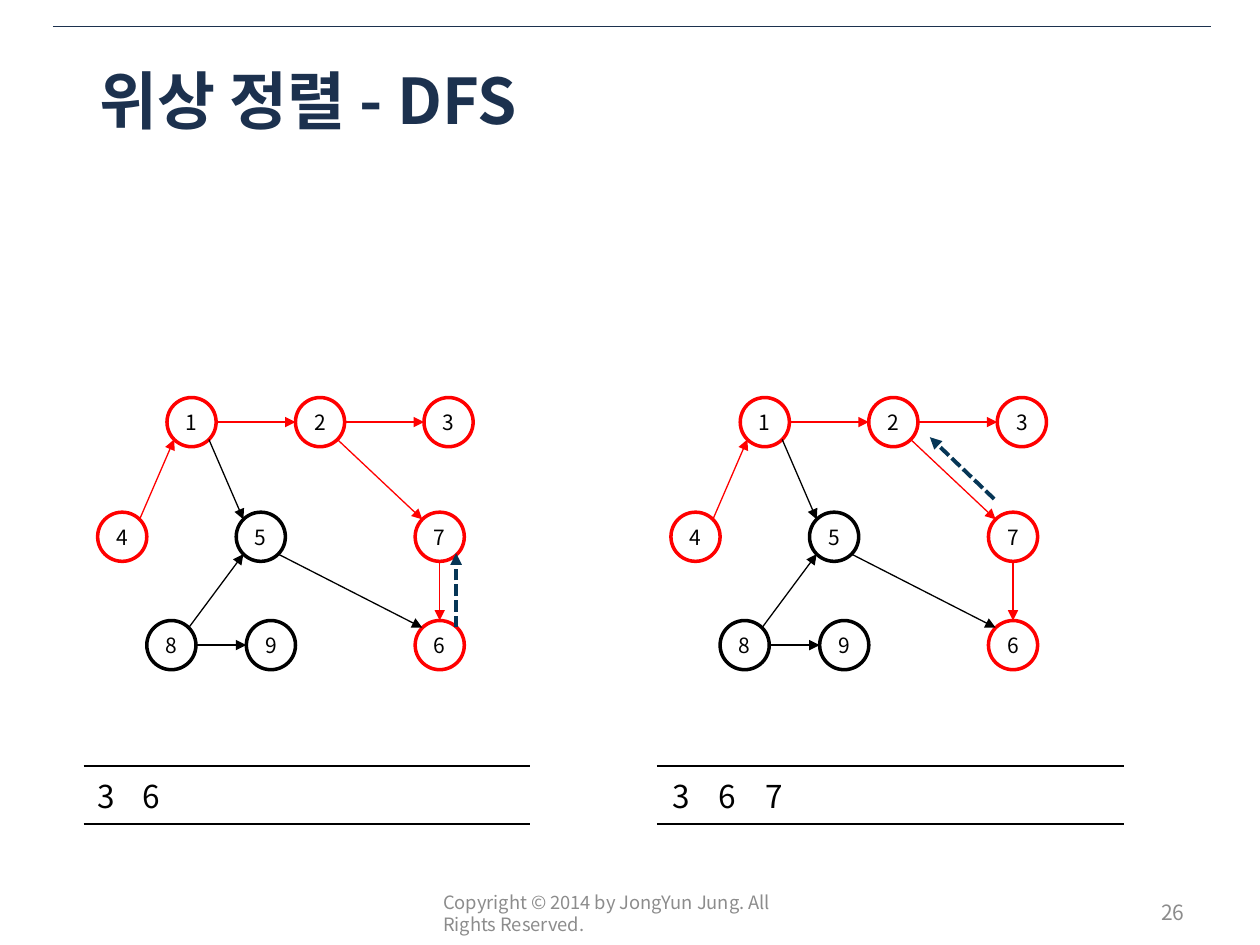
from math import sqrt
from lxml.etree import SubElement
from pptx import Presentation
from pptx.dml.color import RGBColor
from pptx.enum.dml import MSO_LINE
from pptx.enum.shapes import MSO_CONNECTOR, MSO_SHAPE
from pptx.enum.text import MSO_ANCHOR, PP_ALIGN
from pptx.oxml.ns import qn
from pptx.util import Inches, Pt

FONT = "Noto Sans CJK KR"
NAVY, RED, BLACK, WHITE, GREY, TEAL = "1C314E", "FF0000", "000000", "FFFFFF", "8C8C8C", "063656"
rgb = RGBColor.from_string


def write(p, text, size, color, align=PP_ALIGN.LEFT, bold=False):
    p.alignment = align
    r = p.add_run()
    r.text = text
    r.font.size, r.font.bold = Pt(size), bold
    r.font.color.rgb = rgb(color)
    r.font.name = FONT
    SubElement(r.font._element, qn("a:ea"), typeface=FONT)


def add_line(shapes, start, end, color, width, arrow=True):
    ln = shapes.add_connector(MSO_CONNECTOR.STRAIGHT, *map(Inches, (*start, *end)))
    ln.line.color.rgb = rgb(color)
    ln.line.width = Pt(width)
    if arrow:
        SubElement(ln.line._get_or_add_ln(), qn("a:tailEnd"), type="triangle")
    SubElement(ln._element.spPr, qn("a:effectLst"))
    return ln


prs = Presentation()
prs.slide_width, prs.slide_height = Inches(10), Inches(7.5)
s = prs.slides.add_slide(prs.slide_layouts[5])

# Top rule and title
add_line(s.shapes, (0.42, 0.21), (9.61, 0.21), NAVY, 0.25, arrow=False)
title = s.shapes.title
title.left, title.top, title.width, title.height = map(Inches, (0.69, 0.4, 8.62, 0.78))
title.text_frame.vertical_anchor = MSO_ANCHOR.MIDDLE
write(title.text_frame.paragraphs[0], "위상 정렬 - DFS", 36, NAVY, bold=True)

# Footer and page number
for box, text, size, align in [
    ((3.42, 7.05, 3.17, 0.4), "Copyright © 2014 by JongYun Jung. All Rights Reserved.", 10.5, PP_ALIGN.LEFT),
    ((7.17, 7.04, 2.33, 0.4), "26", 12, PP_ALIGN.RIGHT),
]:
    tf = s.shapes.add_textbox(*map(Inches, box)).text_frame
    tf.word_wrap = True
    tf.vertical_anchor = MSO_ANCHOR.MIDDLE
    write(tf.paragraphs[0], text, size, GREY, align)

# Graph: node centres relative to the panel's left edge, edges with their exit and entry sides
SIZE = 0.39
ROW_1, ROW_2, ROW_3 = 3.35, 4.26, 5.12
NODES = {
    1: (0.85, ROW_1), 2: (1.87, ROW_1), 3: (2.89, ROW_1),
    4: (0.3, ROW_2), 5: (1.4, ROW_2), 7: (2.82, ROW_2),
    8: (0.69, ROW_3), 9: (1.48, ROW_3), 6: (2.82, ROW_3),
}
VISITED = {1, 2, 3, 4, 6, 7}
D = 1 / sqrt(2)
SIDES = {"N": (0, -1), "S": (0, 1), "W": (-1, 0), "E": (1, 0),
         "NW": (-D, -D), "NE": (D, -D), "SW": (-D, D), "SE": (D, D)}
EDGES = [(1, "E", 2, "W"), (2, "E", 3, "W"), (4, "NE", 1, "SW"), (1, "SE", 5, "NW"),
         (2, "SE", 7, "NW"), (8, "NE", 5, "SW"), (8, "E", 9, "W"), (5, "SE", 6, "NW"),
         (7, "S", 6, "N")]

# Each panel: left edge, output table's column width, finished nodes, backtracking arrow
PANELS = [
    (0.67, 0.353, "36", (3.62, 4.98), (3.62, 4.39)),
    (5.22, 0.37, "367", (7.89, 3.96), (7.38, 3.47)),
]
COLS, ROW_H = 10, 0.46

for left, col_w, output, back_start, back_end in PANELS:
    # Output table
    table = s.shapes.add_table(2, COLS, Inches(left), Inches(5.62),
                               Inches(COLS * col_w), Inches(2 * ROW_H)).table
    table.first_row = table.horz_banding = False
    for row in range(2):
        for col in range(COLS):
            cell = table.cell(row, col)
            cell.fill.background()
            tcPr = cell._tc.get_or_add_tcPr()
            borders = [("lnL", WHITE), ("lnR", WHITE), ("lnT", BLACK if row else WHITE), ("lnB", BLACK)]
            for i, (tag, color) in enumerate(borders):
                ln = SubElement(tcPr, qn(f"a:{tag}"), w=str(Pt(1)))
                SubElement(SubElement(ln, qn("a:solidFill")), qn("a:srgbClr"), val=color)
                tcPr.insert(i, ln)
    for col, number in enumerate(output):
        write(table.cell(1, col).text_frame.paragraphs[0], number, 18, BLACK, PP_ALIGN.CENTER)

    # Nodes
    graph = s.shapes.add_group_shape().shapes
    for number, (x, y) in NODES.items():
        sp = graph.add_shape(MSO_SHAPE.OVAL, Inches(left + x - SIZE / 2), Inches(y - SIZE / 2),
                             Inches(SIZE), Inches(SIZE))
        sp.shadow.inherit = False
        sp.fill.background()
        sp.line.color.rgb = rgb(RED if number in VISITED else BLACK)
        sp.line.width = Pt(2)
        tf = sp.text_frame
        tf.margin_left = tf.margin_right = tf.margin_top = tf.margin_bottom = 0
        tf.word_wrap = False
        tf.vertical_anchor = MSO_ANCHOR.MIDDLE
        write(tf.paragraphs[0], str(number), 12, BLACK, PP_ALIGN.CENTER)

    # Edges
    for a, side_a, b, side_b in EDGES:
        start, end = [
            (left + NODES[n][0] + SIDES[side][0] * SIZE / 2, NODES[n][1] + SIDES[side][1] * SIZE / 2)
            for n, side in ((a, side_a), (b, side_b))
        ]
        add_line(graph, start, end, RED if {a, b} <= VISITED else BLACK, 0.75)

    # Backtracking arrow
    back = add_line(s.shapes, back_start, back_end, TEAL, 2.25)
    back.line.dash_style = MSO_LINE.SQUARE_DOT

prs.save("out.pptx")
